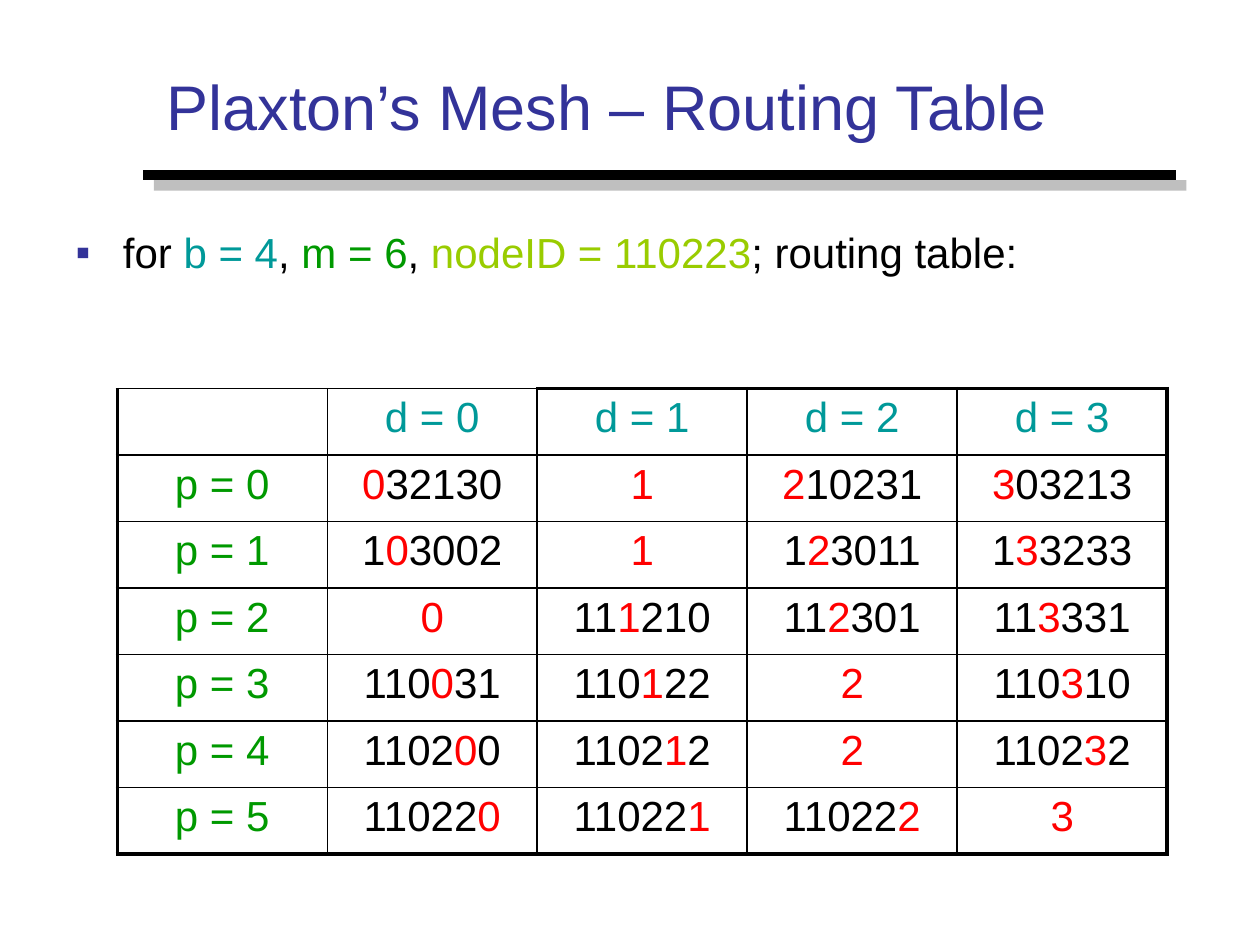
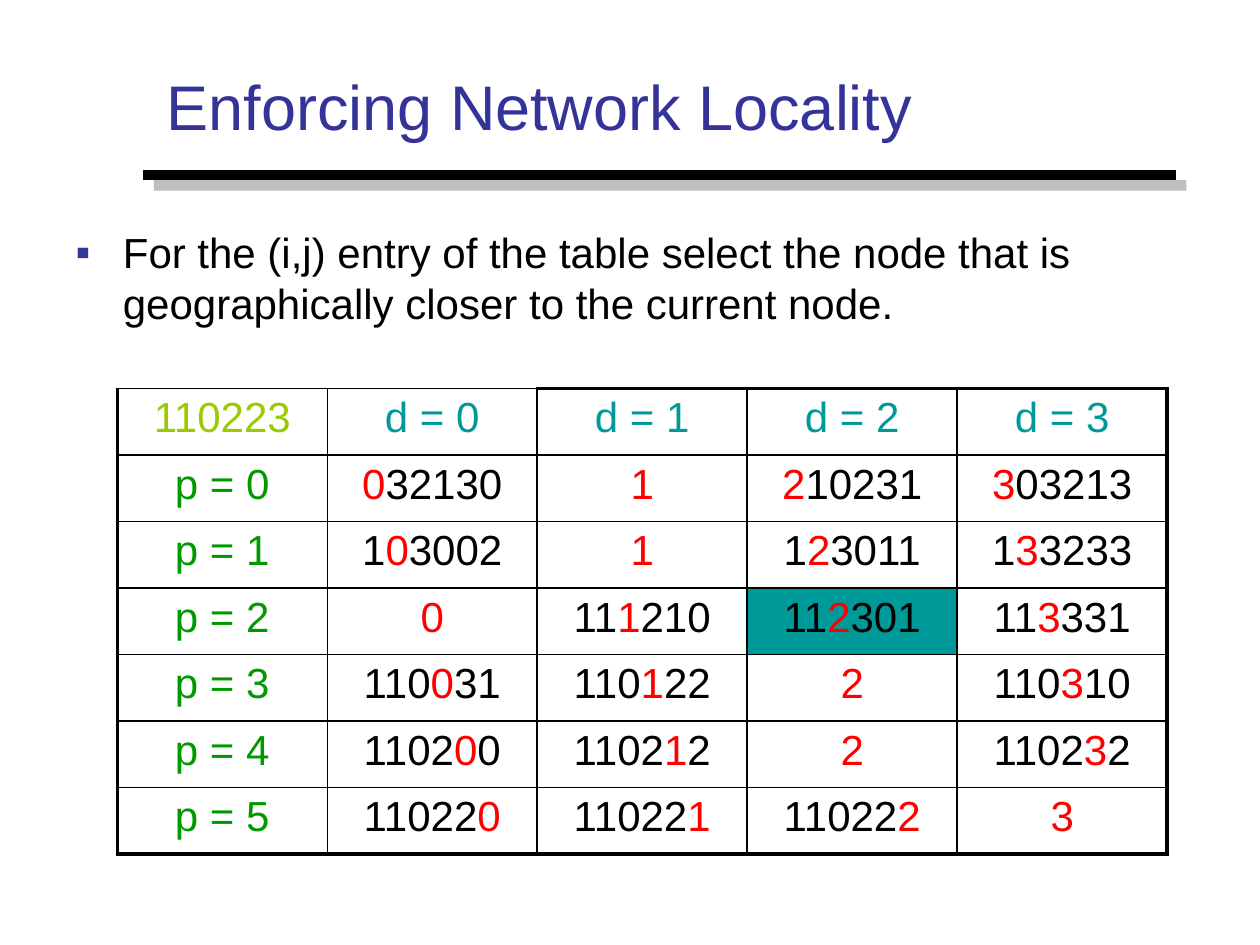
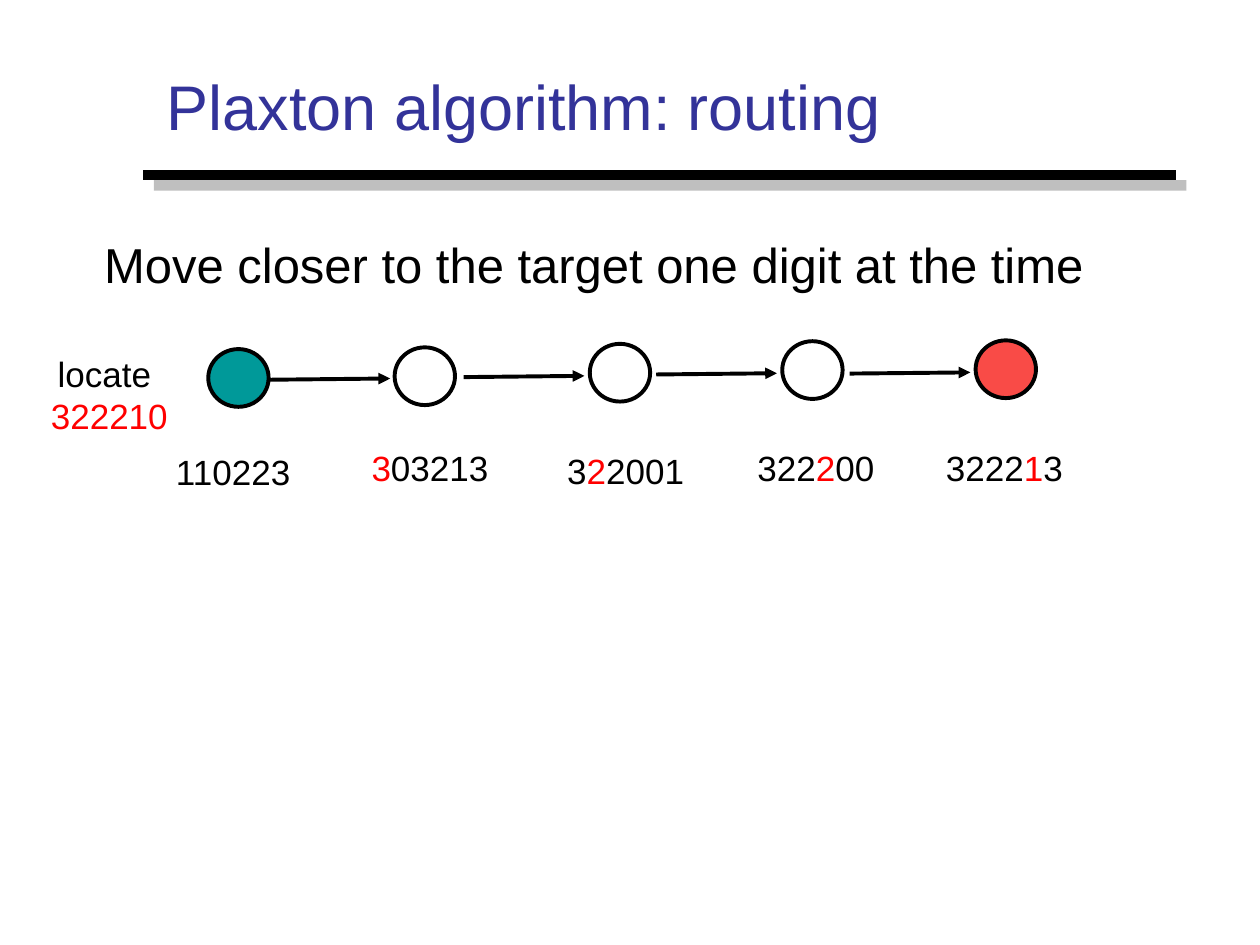
"""Build three slides on routing in Plaxton's mesh."""
from lxml import etree
from pptx import Presentation
from pptx.dml.color import RGBColor
from pptx.enum.shapes import MSO_CONNECTOR, MSO_SHAPE
from pptx.enum.text import MSO_ANCHOR, MSO_AUTO_SIZE, PP_ALIGN
from pptx.oxml.ns import qn
from pptx.util import Pt

LEFT, MID = PP_ALIGN.LEFT, PP_ALIGN.CENTER
CENTER = MSO_ANCHOR.MIDDLE
FIXED, GROW = MSO_AUTO_SIZE.NONE, MSO_AUTO_SIZE.SHAPE_TO_FIT_TEXT
OVAL, LINE = MSO_SHAPE.OVAL, MSO_CONNECTOR.STRAIGHT

FONT = "Arial"
HUES = {
    "black": "000000", "white": "FFFFFF", "gray": "808080",
    "navy": "333399", "teal": "009999", "green": "009900",
    "lime": "99CC00", "red": "FF0000", "coral": "F94B47",
}


def write(frame, lines, size=24, align=LEFT, wrap=True, fit=None):
    """Fill a text frame with lines made of (text, hue) parts."""
    frame.word_wrap = wrap
    if fit is not None:
        frame.auto_size = fit
    for i, line in enumerate(lines):
        para = frame.add_paragraph() if i else frame.paragraphs[0]
        para.alignment = align
        para.space_before = Pt(0)
        for text, hue in line:
            run = para.add_run()
            run.text = text
            run.font.name = FONT
            run.font.size = Pt(size)
            run.font.color.rgb = RGBColor.from_string(HUES[hue])


def link(slide, start, end, width):
    """Draw a black straight line and return it with its effect list."""
    line = slide.shapes.add_connector(LINE, *map(Pt, start + end))
    line.line.width = Pt(width)
    line.line.color.rgb = RGBColor.from_string(HUES["black"])
    return line, etree.SubElement(line.element.spPr, qn("a:effectLst"))


deck = Presentation()
deck.slide_width, deck.slide_height = Pt(720), Pt(540)

titles = [
    ("Plaxton’s Mesh – Routing Table", 1),
    ("Enforcing Network Locality", 1),
    ("Plaxton algorithm: routing", 5),
]
slides = []
for text, kind in titles:
    slide = deck.slides.add_slide(deck.slide_layouts[kind])
    title = slide.shapes.title
    title.left, title.top, title.width, title.height = map(Pt, (88, 26, 607, 68))
    title.text_frame.vertical_anchor = CENTER
    write(title.text_frame, [[(text, "navy")]], size=36, fit=FIXED)
    slides.append(slide)

rule, effects = link(slides[0], (82, 100), (672, 100), 6)
shade = etree.SubElement(effects, qn("a:outerShdw"), blurRad="0",
                         dist=str(Pt(8.5)), dir="2700000", algn="ctr", rotWithShape="0")
tint = etree.SubElement(shade, qn("a:srgbClr"), val=HUES["gray"])
etree.SubElement(tint, qn("a:alpha"), val="50000")
deck.slide_master.shapes.element.append(rule.element)

nodes = [
    ["032130", "1", "210231", "303213"],
    ["103002", "1", "123011", "133233"],
    ["0", "111210", "112301", "113331"],
    ["110031", "110122", "2", "110310"],
    ["110200", "110212", "2", "110232"],
    ["110220", "110221", "110222", "3"],
]
heads = [[(f"d = {d}", "teal")] for d in range(4)]
grid = []
for p, row in enumerate(nodes):
    cells = [[(f"p = {p}", "green")]]
    for node in row:
        at = p if len(node) > 1 else 0
        parts = [(node[:at], "black"), (node[at], "red"), (node[at + 1:], "black")]
        cells.append([part for part in parts if part[0]])
    grid.append(cells)

boards = [
    ([("for ", "black"), ("b = 4", "teal"), (", ", "black"), ("m = 6", "green"),
      (", ", "black"), ("nodeID = 110223", "lime"), ("; routing table:", "black")],
     [], None),
    ([("For the (i,j) entry of the table select the node that is "
       "geographically closer to the current node.", "black")],
     [("110223", "lime")], (3, 3)),
]
for slide, (intro, corner, mark) in zip(slides, boards):
    body = slide.placeholders[1]
    body.left, body.top, body.width, body.height = map(Pt, (36, 126, 648, 356))
    write(body.text_frame, [intro], fit=FIXED)
    props = body.text_frame.paragraphs[0]._p.get_or_add_pPr()
    props.set("marL", str(Pt(27)))
    props.set("indent", str(Pt(-27)))
    color = etree.SubElement(props, qn("a:buClr"))
    etree.SubElement(color, qn("a:srgbClr"), val=HUES["navy"])
    etree.SubElement(props, qn("a:buFont"), typeface=FONT)
    etree.SubElement(props, qn("a:buChar"), char="▪")

    table = slide.shapes.add_table(7, 5, Pt(67), Pt(222), Pt(600), Pt(266)).table
    table.first_row = table.horz_banding = False
    for r, row in enumerate([[corner] + heads] + grid):
        for c, parts in enumerate(row):
            cell = table.cell(r, c)
            write(cell.text_frame, [parts], align=MID)
            thick = {"lnL": c == 0, "lnR": c == 4, "lnT": r == 0 and c > 1, "lnB": r == 6}
            props = cell._tc.get_or_add_tcPr()
            for side, bold in thick.items():
                edge = etree.SubElement(props, qn(f"a:{side}"), w=str(Pt(2.25 if bold else 1)))
                fill = etree.SubElement(edge, qn("a:solidFill"))
                etree.SubElement(fill, qn("a:srgbClr"), val=HUES["black"])
            cell.fill.solid()
            hue = "teal" if (r, c) == mark else "white"
            cell.fill.fore_color.rgb = RGBColor.from_string(HUES[hue])

slide = slides[2]
hops = [
    ([("110223", "black")], "teal", (119, 199.5), (83.5, 254, 99.5)),
    ([("3", "red"), ("03213", "black")], "white", (225.5, 198.5), (196, 251.5, 99.5)),
    ([("3", "black"), ("2", "red"), ("2001", "black")], "white",
     (337, 196.5), (316, 253.5, 83)),
    ([("322", "black"), ("2", "red"), ("00", "black")], "white",
     (447, 195), (422, 251.5, 88.5)),
    ([("3222", "black"), ("1", "red"), ("3", "black")], "coral",
     (557.5, 194.5), (530, 251.5, 88)),
]
notes = [
    ([[("Move closer to the target one digit at the time", "black")]],
     (52.5, 130.5, 575.5, 41), 28, LEFT, False),
    ([[("locate ", "black")], [("322210", "red")]], (13.5, 198, 98, 55.5), 20, MID, True),
]
for parts, hue, spot, (x, y, w) in hops:
    dot = slide.shapes.add_shape(OVAL, *map(Pt, spot + (34.5, 33)))
    dot.shadow.inherit = False
    dot.fill.solid()
    dot.fill.fore_color.rgb = RGBColor.from_string(HUES[hue])
    dot.line.width = Pt(2.25)
    dot.line.color.rgb = RGBColor.from_string(HUES["black"])
    notes.append(([parts], (x, y, w, 31), 20, MID, True))

for lines, place, size, align, wrap in notes:
    box = slide.shapes.add_textbox(*map(Pt, place))
    write(box.text_frame, lines, size=size, align=align, wrap=wrap, fit=GROW)

for x, y in [(154, 217), (265, 215.5), (375, 214), (485.5, 213.5)]:
    arrow, effects = link(slide, (x, y), (x + 69, y - 0.7), 2.25)
    etree.SubElement(arrow.line._get_or_add_ln(), qn("a:tailEnd"), type="triangle")

deck.save("out.pptx")
